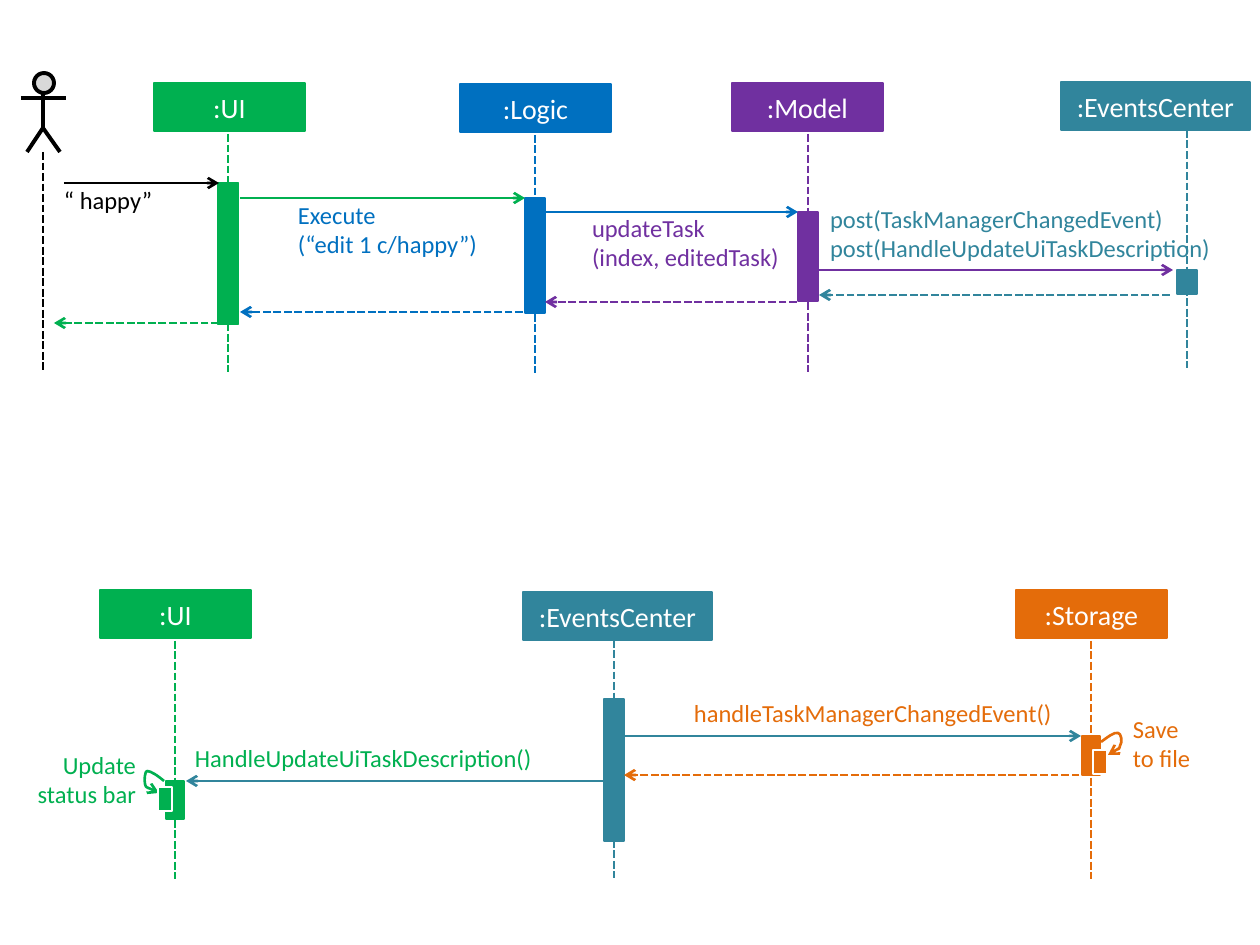
from dataclasses import dataclass

from lxml import etree
from pptx import Presentation
from pptx.dml.color import RGBColor
from pptx.enum.dml import MSO_LINE
from pptx.enum.shapes import MSO_CONNECTOR, MSO_SHAPE
from pptx.enum.text import MSO_ANCHOR, MSO_AUTO_SIZE, PP_ALIGN
from pptx.oxml.ns import qn
from pptx.util import Emu, Pt

PX = 914400 / 126
STRAIGHT = MSO_CONNECTOR.STRAIGHT
RECT, CIRCLE = MSO_SHAPE.RECTANGLE, MSO_SHAPE.FLOWCHART_CONNECTOR
DASH = MSO_LINE.SQUARE_DOT
LEFT, CENTER, RIGHT = PP_ALIGN.LEFT, PP_ALIGN.CENTER, PP_ALIGN.RIGHT
MIDDLE, FIT = MSO_ANCHOR.MIDDLE, MSO_AUTO_SIZE.SHAPE_TO_FIT_TEXT
BOX_H, LIFE_H = 48, 238


@dataclass(frozen=True)
class Theme:
    """Colours, font, type sizes and line widths in points."""
    ui: str = "00B050"
    logic: str = "0070C0"
    model: str = "7030A0"
    events: str = "31859C"
    storage: str = "E46C0A"
    user: str = "000000"
    head: str = "D9D9D9"
    white: str = "FFFFFF"
    font: str = "Calibri"
    title: int = 16
    label: int = 14
    line: float = 1.5
    thin: float = 0.75
    actor: float = 2.25


T = Theme()


@dataclass(frozen=True)
class Participant:
    """A named box with its lifeline and activation bar."""
    name: str
    color: str
    left: int
    top: int
    life_x: int
    bar_y: int
    bar_w: int
    bar_h: int
    width: int = 151
    gap: int = 3


@dataclass(frozen=True)
class Message:
    """A horizontal arrow pointing at its end."""
    start: int
    end: int
    y: int
    color: str
    dashed: bool = False


@dataclass(frozen=True)
class Label:
    """Text beside a message; a vertical tab is a line break."""
    left: int
    top: int
    width: int
    height: int
    color: str
    lines: tuple[str, ...]
    align: int = LEFT


@dataclass(frozen=True)
class SelfCall:
    """A curved arrow pointing at its first point, and a nested bar."""
    color: str
    curve: tuple[tuple[int, int], ...]
    bar: tuple[int, int, int, int]


PARTICIPANTS = [
    Participant(":UI", T.ui, 154, 83, 228, 183, 21, 141),
    Participant(":Logic", T.logic, 460, 84, 535, 198, 20, 115),
    Participant(":Model", T.model, 732, 83, 808, 212, 20, 89),
    Participant(":EventsCenter", T.events, 1061, 82, 1187, 270, 20, 24, 189, 0),
    Participant(":Storage", T.storage, 1016, 590, 1091, 736, 18, 39),
    Participant(":EventsCenter", T.events, 523, 592, 614, 699, 20, 142, 189, 0),
    Participant(":UI", T.ui, 100, 590, 175, 781, 18, 38),
]
MESSAGES = [
    Message(64, 219, 183, T.user),
    Message(240, 525, 198, T.ui),
    Message(545, 798, 212, T.logic),
    Message(819, 1173, 270, T.model),
    Message(1170, 819, 295, T.events, True),
    Message(797, 545, 302, T.model, True),
    Message(523, 240, 312, T.logic, True),
    Message(219, 54, 323, T.ui, True),
    Message(624, 1081, 736, T.events),
    Message(1090, 624, 775, T.storage, True),
    Message(607, 186, 781, T.events),
]
LABELS = [
    Label(64, 185, 118, 30, T.user, ("“ happy”",)),
    Label(298, 200, 197, 59, T.logic, ("Execute", "(“edit 1 c/happy”)")),
    Label(592, 213, 197, 59, T.model, ("updateTask", "(index, editedTask)")),
    Label(830, 204, 387, 89, T.events,
          ("post(TaskManagerChangedEvent)", "post(HandleUpdateUiTaskDescription)")),
    Label(694, 698, 367, 30, T.storage, ("handleTaskManagerChangedEvent()",)),
    Label(195, 743, 367, 30, T.ui, ("HandleUpdateUiTaskDescription()",)),
    Label(26, 750, 110, 59, T.ui, ("Update status bar",), RIGHT),
    Label(1133, 714, 74, 59, T.storage, ("Save \vto file",)),
]
SELF_CALLS = [
    SelfCall(T.ui, ((159, 793), (152, 790), (146, 788), (145, 784), (144, 780),
                    (145, 771), (147, 771), (151, 771), (158, 776), (164, 781)),
             (158, 787, 14, 24)),
    SelfCall(T.storage, ((1108, 755), (1113, 752), (1119, 750), (1120, 746), (1123, 742),
                         (1121, 733), (1118, 733), (1114, 732), (1108, 737), (1101, 742)),
             (1093, 750, 14, 24)),
]


def px(*values: float) -> list[Emu]:
    """Turn pixels into EMU."""
    return [Emu(round(v * PX)) for v in values]


def style_line(s, color: str, width: float, dashed: bool = False) -> None:
    """Set the colour, width and dash of an outline."""
    s.line.color.rgb = RGBColor.from_string(color)
    s.line.width = Pt(width)
    if dashed:
        s.line.dash_style = DASH


def add_arrowhead(s, end: str) -> None:
    """Put an open arrowhead on the headEnd or tailEnd of a line."""
    etree.SubElement(s.line._get_or_add_ln(), qn(f"a:{end}"), type="arrow")


def add_line(shapes, x1: int, y1: int, x2: int, y2: int, color: str,
             width: float = T.line, dashed: bool = False):
    """Draw a straight line without a shadow."""
    s = shapes.add_connector(STRAIGHT, *px(x1, y1, x2, y2))
    style_line(s, color, width, dashed)
    etree.SubElement(s._element.spPr, qn("a:effectLst"))
    return s


def add_block(shapes, box: tuple, fill: str, line: str, width: float, kind: int = RECT):
    """Draw a filled shape."""
    s = shapes.add_shape(kind, *px(*box))
    s.shadow.inherit = False
    s.fill.solid()
    s.fill.fore_color.rgb = RGBColor.from_string(fill)
    style_line(s, line, width)
    return s


def add_path(shapes, points: tuple, color: str, width: float):
    """Draw an open unfilled outline through the points."""
    builder = shapes.build_freeform(*points[0], scale=PX)
    builder.add_line_segments(points[1:], close=False)
    s = builder.convert_to_shape()
    s.shadow.inherit = False
    s.fill.background()
    style_line(s, color, width)
    return s


def write(p, text: str, size: int, color: str, align: int) -> None:
    """Write a paragraph run by run, with breaks between its parts."""
    p.alignment = align
    for i, part in enumerate(text.split("\v")):
        if i:
            p.add_line_break()
        r = p.add_run()
        r.text = part
        r.font.name, r.font.size = T.font, Pt(size)
        r.font.color.rgb = RGBColor.from_string(color)


def draw_actor(shapes) -> None:
    """Draw the stick figure and its lifeline."""
    figure = shapes.add_group_shape().shapes
    add_block(figure, (34, 73, 20, 20), T.head, T.user, T.actor, CIRCLE)
    add_line(figure, 43, 93, 43, 128, T.user, T.actor)
    add_path(figure, ((27, 152), (43, 128), (60, 152)), T.user, T.actor)
    add_line(figure, 21, 98, 66, 98, T.user, T.actor)
    add_line(shapes, 43, 152, 43, 372, T.user, dashed=True)


def draw_label(shapes, label: Label) -> None:
    """Draw a text label without insets."""
    s = shapes.add_textbox(*px(label.left, label.top, label.width, label.height))
    tf = s.text_frame
    tf.word_wrap, tf.auto_size = True, FIT
    tf.margin_left = tf.margin_right = tf.margin_top = tf.margin_bottom = 0
    for i, line in enumerate(label.lines):
        p = tf.add_paragraph() if i else tf.paragraphs[0]
        write(p, line, T.label, label.color, label.align)


def draw_participant(shapes, part: Participant) -> None:
    """Draw the name box, lifeline and activation bar."""
    s = add_block(shapes, (part.left, part.top, part.width, BOX_H), part.color, part.color, T.line)
    s.text_frame.vertical_anchor = MIDDLE
    write(s.text_frame.paragraphs[0], part.name, T.title, T.white, CENTER)
    y = part.top + BOX_H + part.gap
    add_line(shapes, part.life_x, y, part.life_x, y + LIFE_H, part.color, dashed=True)
    bar = (part.life_x - part.bar_w / 2, part.bar_y, part.bar_w, part.bar_h)
    add_block(shapes, bar, part.color, part.color, T.thin)


def draw_message(shapes, m: Message) -> None:
    """Draw a message arrow."""
    add_arrowhead(add_line(shapes, m.start, m.y, m.end, m.y, m.color, dashed=m.dashed), "tailEnd")


def draw_self_call(shapes, call: SelfCall) -> None:
    """Draw a curved arrow and its nested bar as a group."""
    group = shapes.add_group_shape().shapes
    s = add_path(group, call.curve, call.color, T.line)
    corners = list(s._element.iter(qn("a:lnTo")))
    for i in range(0, len(corners), 3):
        bezier = etree.SubElement(corners[i].getparent(), qn("a:cubicBezTo"))
        for corner in corners[i:i + 3]:
            bezier.append(corner[0])
            corner.getparent().remove(corner)
    add_arrowhead(s, "headEnd")
    add_block(group, call.bar, call.color, T.white, T.thin)


def main() -> None:
    """Build the sequence diagrams."""
    prs = Presentation()
    prs.slide_width, prs.slide_height = px(1260, 945)
    shapes = prs.slides.add_slide(prs.slide_layouts[6]).shapes
    draw_actor(shapes)
    for draw, items in ((draw_label, LABELS), (draw_participant, PARTICIPANTS),
                        (draw_message, MESSAGES), (draw_self_call, SELF_CALLS)):
        for item in items:
            draw(shapes, item)
    prs.save("out.pptx")


main()
